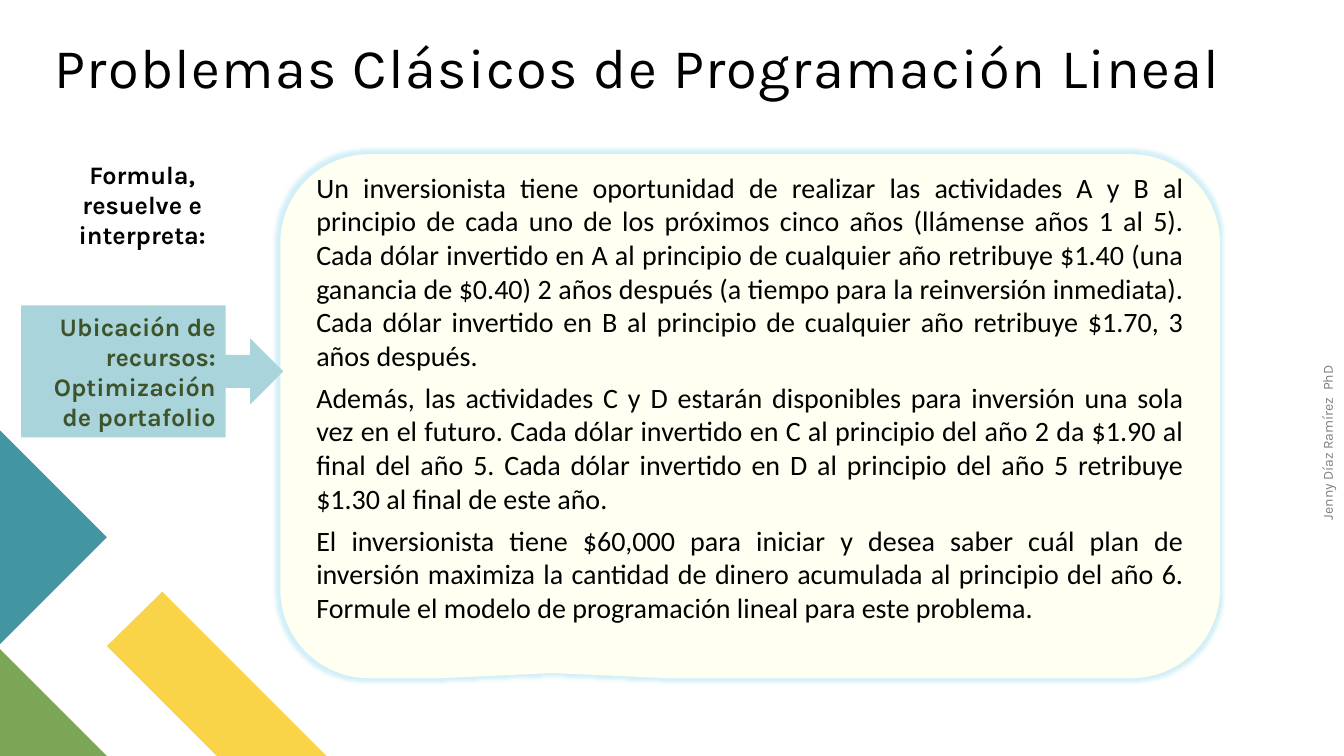
from lxml import etree
from pptx import Presentation
from pptx.dml.color import RGBColor
from pptx.enum.shapes import MSO_SHAPE
from pptx.enum.text import MSO_ANCHOR, PP_ALIGN
from pptx.oxml.ns import qn
from pptx.util import Inches, Pt

CALLOUT = MSO_SHAPE.ROUNDED_RECTANGULAR_CALLOUT
ARROW = MSO_SHAPE.RIGHT_ARROW_CALLOUT
TOP, MIDDLE = MSO_ANCHOR.TOP, MSO_ANCHOR.MIDDLE
LEFT, CENTER, RIGHT, JUSTIFY = (
    PP_ALIGN.LEFT, PP_ALIGN.CENTER, PP_ALIGN.RIGHT, PP_ALIGN.JUSTIFY)

COLORS = {
    "black": "000000", "gray": "808080", "moss": "3E532A",
    "yellow": "F9D448", "green": "7CA655", "teal": "4495A2",
    "cream": "FFFFF2", "sky": "A9D4DB", "glow": "CDEEF7",
}

PROBLEM = [
    "Un inversionista tiene oportunidad de realizar las actividades A y B al "
    "principio de cada uno de los próximos cinco años (llámense años 1 al 5). "
    "Cada dólar invertido en A al principio de cualquier año retribuye $1.40 "
    "(una ganancia de $0.40) 2 años después (a tiempo para la reinversión "
    "inmediata). Cada dólar invertido en B al principio de cualquier año "
    "retribuye $1.70, 3 años después.",
    "Además, las actividades C y D estarán disponibles para inversión una sola "
    "vez en el futuro. Cada dólar invertido en C al principio del año 2 da "
    "$1.90 al final del año 5. Cada dólar invertido en D al principio del año "
    "5 retribuye $1.30 al final de este año.",
    "El inversionista tiene $60,000 para iniciar y desea saber cuál plan de "
    "inversión maximiza la cantidad de dinero acumulada al principio del año "
    "6. Formule el modelo de programación lineal para este problema.",
]


def color(name):
    return RGBColor.from_string(COLORS[name])


def paint(shape, name):
    """Fill the shape plainly, with neither outline nor shadow."""
    shape.fill.solid()
    shape.fill.fore_color.rgb = color(name)
    shape.line.fill.background()
    shape.shadow.inherit = False


def write(shape, texts, size, ink, align, font="Karla", bold=False,
          anchor=TOP, gap=0, frame=None):
    """Put one paragraph per text; frame holds text frame settings."""
    body = shape.text_frame
    settings = {"word_wrap": True, "vertical_anchor": anchor, **(frame or {})}
    for key, value in settings.items():
        setattr(body, key, value)
    for i, text in enumerate(texts):
        para = body.paragraphs[0] if i == 0 else body.add_paragraph()
        para.alignment = align
        if i:
            para.space_before = Pt(gap)
        run = para.add_run()
        run.text = text
        for key, value in {"name": font, "size": Pt(size), "bold": bold}.items():
            setattr(run.font, key, value)
        run.font.color.rgb = color(ink)


def place(box):
    return [Inches(n) for n in box]


def glow(shape, name, radius):
    effects = shape._element.spPr.find(qn("a:effectLst"))
    halo = etree.SubElement(effects, qn("a:glow"), rad=str(Pt(radius)))
    tint = etree.SubElement(halo, qn("a:srgbClr"), val=COLORS[name])
    etree.SubElement(tint, qn("a:alpha"), val="90000")


def draw_corner(slide, box):
    """Draw the coloured diagonal pieces inside the lower left corner."""
    x, y, w, h = box
    end, unit = y + h, 1.06
    pieces = {
        "yellow": [(x + w, end), (x + 2.15, end), (x + unit, 6.41),
                   (x + 1.61, 5.87)],
        "green": [(x + unit, end), (x, end), (x, end - unit)],
        "teal": [(x, y), (x + unit, y + unit), (x, y + 2 * unit)],
    }
    for name, points in pieces.items():
        spots = [place(p) for p in points]
        pen = slide.shapes.build_freeform(*spots[0])
        pen.add_line_segments(spots[1:], close=True)
        paint(pen.convert_to_shape(), name)


def add_author(slide, box):
    text = slide.shapes.add_textbox(*place(box))
    text.rotation = 270
    sides = ("left", "top", "right", "bottom")
    write(text, ["Jenny Díaz Ramírez  PhD"], 10, "gray", LEFT,
          frame={f"margin_{side}": 0 for side in sides})


def add_title(slide, box):
    title = slide.shapes.add_textbox(*place(box))
    write(title, ["Problemas Clásicos de Programación Lineal"], 40, "black",
          LEFT, anchor=MIDDLE)
    para = title.text_frame.paragraphs[0]
    para.line_spacing = 0.9
    para.runs[0].font._element.set("spc", "100")


def add_problem(slide, box):
    panel = slide.shapes.add_shape(CALLOUT, *place(box))
    for i, value in enumerate((-0.21, 0.49, 0.17)):
        panel.adjustments[i] = value
    paint(panel, "cream")
    glow(panel, "glow", 6)
    write(panel, PROBLEM, 20, "black", JUSTIFY, "Calibri", anchor=MIDDLE,
          gap=6, frame={"margin_top": 0, "margin_bottom": Inches(0.38)})


def add_topic(slide, box):
    arrow = slide.shapes.add_shape(ARROW, *place(box))
    for i, value in enumerate((0.25, 0.25, 0.25, 0.78)):
        arrow.adjustments[i] = value
    paint(arrow, "sky")
    write(arrow, ["Ubicación de recursos: Optimización de portafolio"], 18,
          "moss", RIGHT, bold=True, anchor=MIDDLE)


def add_task(slide, box):
    task = slide.shapes.add_textbox(*place(box))
    write(task, ["Formula, resuelve e interpreta:"], 18, "black", CENTER,
          bold=True)


def main():
    deck = Presentation()
    deck.slide_width, deck.slide_height = Inches(13.33), Inches(7.5)
    slide = deck.slides.add_slide(deck.slide_layouts[6])
    add_author(slide, (12.36, 4.17, 1.71, 0.27))
    draw_corner(slide, (0, 4.27, 3.24, 3.23))
    add_title(slide, (0.44, 0.32, 12.29, 0.75))
    add_problem(slide, (2.78, 1.53, 9.32, 5.2))
    add_topic(slide, (0.21, 3.03, 2.6, 1.31))
    add_task(slide, (0.42, 1.53, 1.98, 1.04))
    deck.save("out.pptx")


if __name__ == "__main__":
    main()
